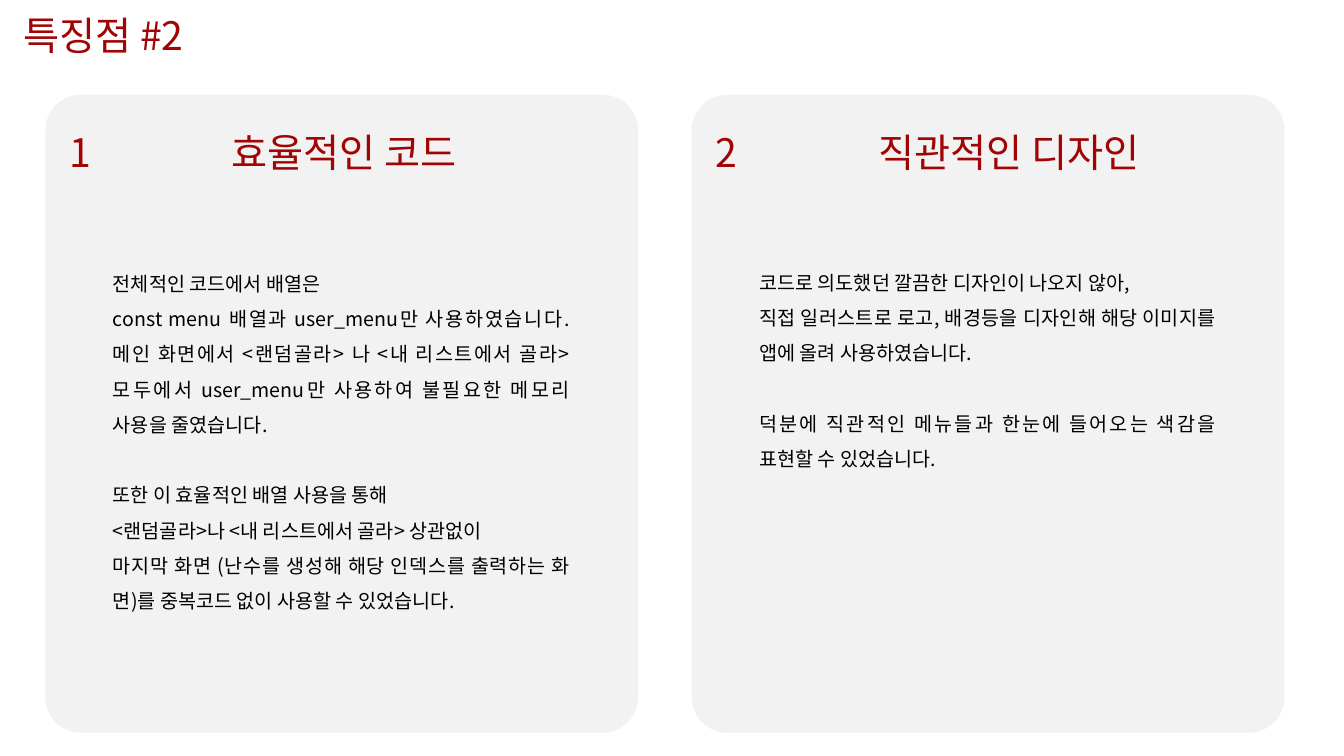
from lxml.etree import SubElement
from pptx import Presentation
from pptx.dml.color import RGBColor
from pptx.enum.shapes import MSO_SHAPE
from pptx.enum.text import MSO_ANCHOR, MSO_AUTO_SIZE, PP_ALIGN
from pptx.oxml.ns import qn
from pptx.util import Inches, Pt

FACE = "Noto Sans CJK KR"
RED, BLACK, GREY = "A00404", "000000", "F2F2F2"
LEFT, STEP, TOP = 0.45, 6.41, 0.94

CARDS = [
    ("1", "효율적인 코드", 2.53, 3.59, [
        "전체적인 코드에서 배열은",
        "const menu 배열과 user_menu만 사용하였습니다. 메인 화면에서 <랜덤골라> 나 "
        "<내 리스트에서 골라> 모두에서 user_menu만 사용하여 불필요한 메모리 사용을 줄였습니다.",
        "또한 이 효율적인 배열 사용을 통해",
        "<랜덤골라>나 <내 리스트에서 골라> 상관없이",
        "마지막 화면 (난수를 생성해 해당 인덱스를 출력하는 화면)를 중복코드 없이 사용할 수 있었습니다.",
    ]),
    ("2", "직관적인 디자인", 2.52, 2.18, [
        "코드로 의도했던 깔끔한 디자인이 나오지 않아,",
        "직접 일러스트로 로고, 배경등을 디자인해 해당 이미지를 앱에 올려 사용하였습니다.",
        "덕분에 직관적인 메뉴들과 한눈에 들어오는 색감을 표현할 수 있었습니다.",
    ]),
]


def color(code):
    return RGBColor.from_string(code)


def write(box, area, lines, size=28, tint=RED, align=PP_ALIGN.LEFT, lead=1.0):
    box.left, box.top, box.width, box.height = map(Inches, area)
    frame = box.text_frame
    frame.text = "\n".join(lines)
    frame.word_wrap = True
    frame.auto_size = MSO_AUTO_SIZE.NONE
    frame.vertical_anchor = MSO_ANCHOR.TOP
    for para in frame.paragraphs:
        para.alignment = align
        para.line_spacing = lead
        para.space_before = Pt(0)
        props = para._p.get_or_add_pPr()
        props.set("marL", "0")
        props.set("indent", "0")
        SubElement(props, qn("a:buNone"))
        font = para.font
        font.size = Pt(size)
        font.bold = False
        font.color.rgb = color(tint)
        font.name = FACE
        SubElement(props.find(qn("a:defRPr")), qn("a:ea"), typeface=FACE)
    return frame.paragraphs


deck = Presentation()
deck.slide_width, deck.slide_height = Inches(13.33), Inches(7.5)
slide = deck.slides.add_slide(deck.slide_layouts[4])
shapes = slide.shapes
title, *slots = slide.placeholders
write(title, (0.13, 0.06, 6.32, 0.57), ["특징점 #2"])

for col, (mark, head, top, tall, lines) in enumerate(CARDS):
    left = LEFT + col * STEP
    card = shapes.add_shape(MSO_SHAPE.ROUNDED_RECTANGLE, Inches(left), Inches(TOP),
                            Inches(5.88), Inches(6.33))
    card.adjustments[0] = 0.06
    card.shadow.inherit = False
    card.fill.solid()
    card.fill.fore_color.rgb = color(GREY)
    card.line.fill.background()
    shapes._spTree.insert(2, card._element)

    label = shapes.add_textbox(0, 0, 0, 0)
    write(label, (left + 0.14, 1.22, 1, 0.57), [mark])
    name, body = slots[col * 2:col * 2 + 2]
    write(name, (left + 1.75, 1.22, 3.66, 0.57), [head])
    paras = write(body, (left + 0.57, top, 4.73, tall), lines, 14, BLACK,
                  PP_ALIGN.JUSTIFY, 1.5)
    paras[2].space_before = Pt(25)

deck.save("out.pptx")
